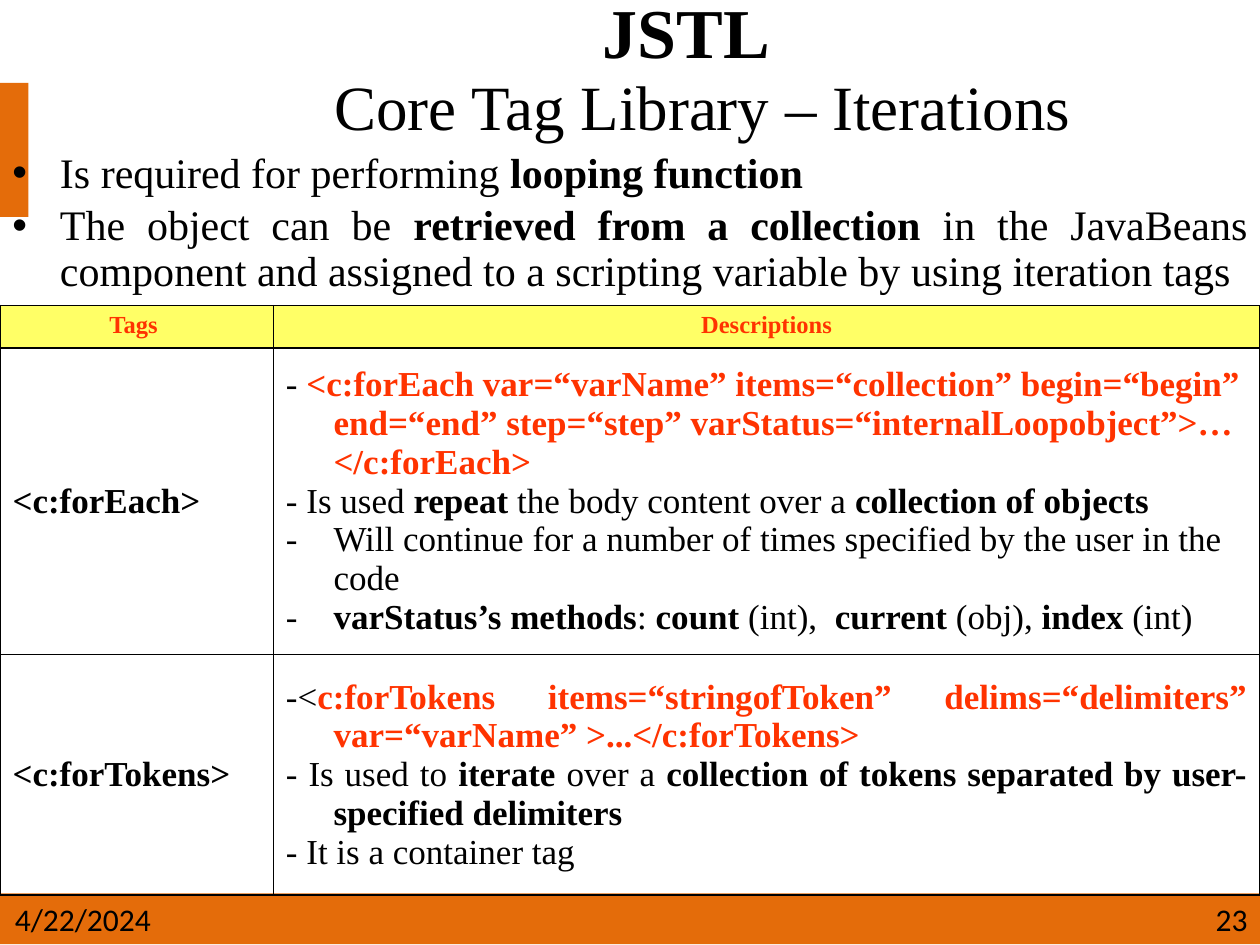
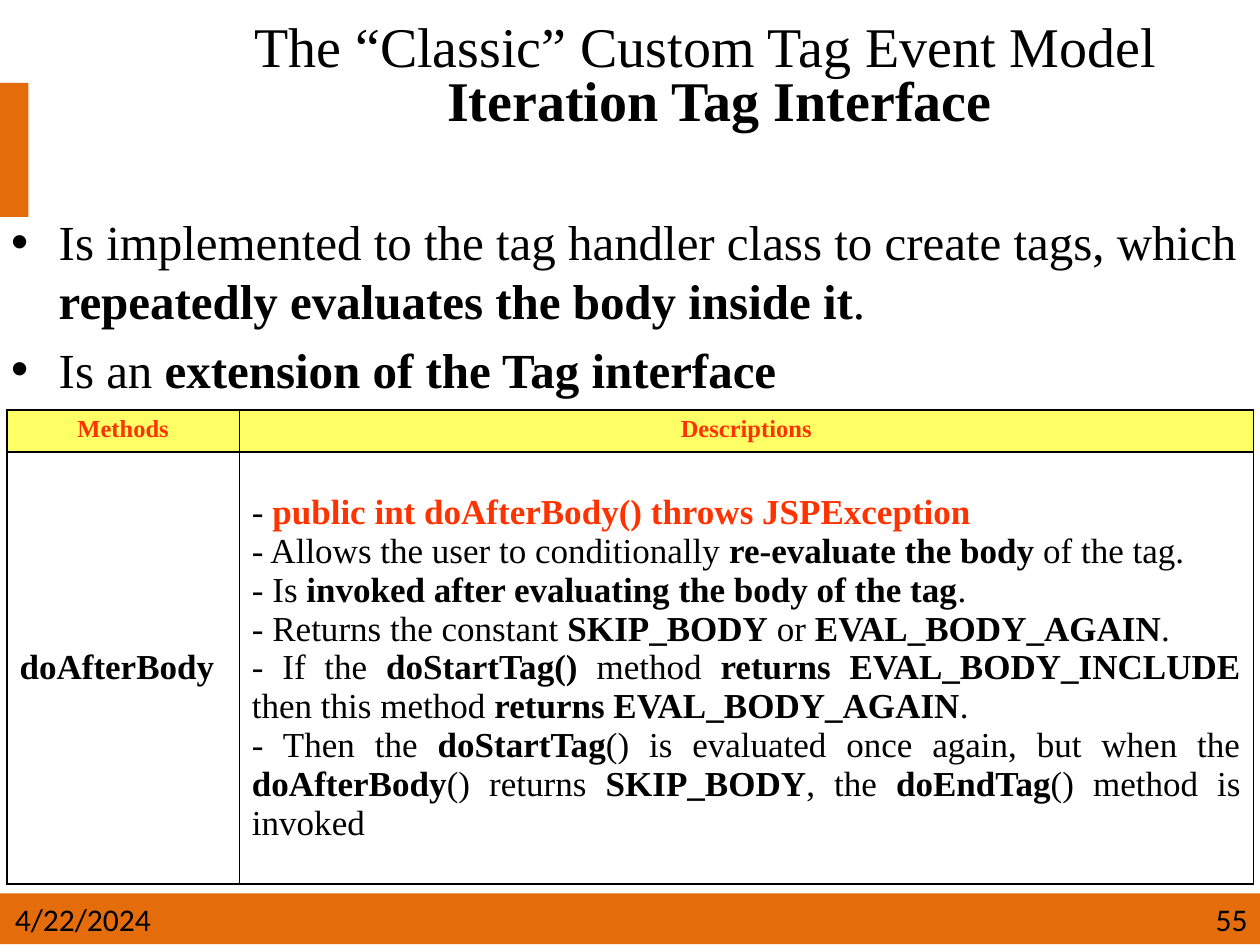
from lxml import etree
from pptx import Presentation
from pptx.dml.color import RGBColor
from pptx.enum.shapes import MSO_SHAPE
from pptx.enum.text import MSO_ANCHOR, PP_ALIGN
from pptx.oxml.ns import qn
from pptx.util import Pt

RECTANGLE = MSO_SHAPE.RECTANGLE
TOP, MIDDLE = MSO_ANCHOR.TOP, MSO_ANCHOR.MIDDLE
LEFT, CENTER = PP_ALIGN.LEFT, PP_ALIGN.CENTER
RIGHT, JUSTIFY = PP_ALIGN.RIGHT, PP_ALIGN.JUSTIFY

ORANGE, YELLOW, RED, BLACK = "E46C0A", "FFFF66", "FF3300", "000000"
SERIF, SANS = "Times New Roman", "Calibri"
SLIDE_WIDTH, SLIDE_HEIGHT = 720, 540
FOOTER_TOP, FOOTER_HEIGHT = 510.5, 29
HANGING = 27.2
TITLE_SPACING = 0.8
DATE = "4/22/2024"


def color(hex_code):
    return RGBColor.from_string(hex_code)


def apply(target, formats):
    for name, value in formats.items():
        setattr(target, name, value)


def add_run(paragraph, text, size, bold=False, ink=BLACK, font=SERIF):
    run = paragraph.add_run()
    run.text = text
    apply(run.font, {"name": font, "size": Pt(size), "bold": bold})
    run.font.color.rgb = color(ink)


def add_emphasised(paragraph, text, size, emphasis=BLACK):
    for index, part in enumerate(text.split("*")):
        if part:
            bold = index % 2 == 1
            add_run(paragraph, part, size, bold, emphasis if bold else BLACK)


def hang(paragraph, bullet=None):
    properties = paragraph._p.get_or_add_pPr()
    properties.set("marL", str(Pt(HANGING)))
    properties.set("indent", str(-Pt(HANGING)))
    if bullet:
        face = "Arial" if bullet == "•" else SERIF
        etree.SubElement(properties, qn("a:buFont")).set("typeface", face)
        etree.SubElement(properties, qn("a:buChar")).set("char", bullet)


def next_paragraph(frame, index):
    return frame.add_paragraph() if index else frame.paragraphs[0]


def add_text_frame(slide, left, top, width, height, anchor=TOP):
    box = slide.shapes.add_textbox(Pt(left), Pt(top), Pt(width), Pt(height))
    apply(box.text_frame, {"word_wrap": True, "vertical_anchor": anchor})
    return box.text_frame


def add_band(slide, top, width, height):
    band = slide.shapes.add_shape(RECTANGLE, 0, Pt(top), Pt(width), Pt(height))
    band.shadow.inherit = False
    band.fill.solid()
    band.fill.fore_color.rgb = color(ORANGE)
    band.line.fill.background()


def add_title(slide, left, width, height, lines):
    frame = add_text_frame(slide, left, 0, width, height, MIDDLE)
    paragraph = frame.paragraphs[0]
    apply(paragraph, {"alignment": CENTER, "line_spacing": TITLE_SPACING})
    for index, line in enumerate(lines):
        if index:
            paragraph.add_line_break()
        for text, size, bold in line:
            add_run(paragraph, text, size, bold)


def add_bullets(slide, left, top, height, points, size, spacing, gap, alignment):
    frame = add_text_frame(slide, left, top, SLIDE_WIDTH, height)
    for index, point in enumerate(points):
        paragraph = next_paragraph(frame, index)
        hang(paragraph, "•")
        apply(paragraph, {"alignment": alignment, "line_spacing": spacing,
                          "space_before": Pt(gap if index else 0)})
        add_emphasised(paragraph, point, size)


def add_footer(slide, number):
    for left, width, text, alignment in ((1.4, 109.4, DATE, LEFT),
                                         (504, 216, number, RIGHT)):
        frame = add_text_frame(slide, left, FOOTER_TOP, width, FOOTER_HEIGHT)
        paragraph = frame.paragraphs[0]
        paragraph.alignment = alignment
        add_run(paragraph, text, 18, font=SANS)


def add_borders(cell):
    properties = cell._tc.get_or_add_tcPr()
    for side in ("lnL", "lnR", "lnT", "lnB"):
        line = etree.SubElement(properties, qn(f"a:{side}"))
        line.set("w", str(Pt(1)))
        fill = etree.SubElement(line, qn("a:solidFill"))
        etree.SubElement(fill, qn("a:srgbClr")).set("val", BLACK)


def fill_heading(cell, text):
    cell.fill.solid()
    cell.fill.fore_color.rgb = color(YELLOW)
    paragraph = cell.text_frame.paragraphs[0]
    paragraph.alignment = CENTER
    hang(paragraph)
    add_run(paragraph, text, 14, True, RED)


def fill_name(cell, text):
    paragraph = cell.text_frame.paragraphs[0]
    hang(paragraph)
    add_run(paragraph, text, 20, True)


def fill_description(cell, entries):
    for index, (text, alignment, bullet, hanging) in enumerate(entries):
        paragraph = next_paragraph(cell.text_frame, index)
        paragraph.alignment = alignment
        if hanging:
            hang(paragraph, bullet)
        add_emphasised(paragraph, text, 20, BLACK if index else RED)


def entry(text, alignment=LEFT, bullet=None, hanging=True):
    return text, alignment, bullet, hanging


def add_tag_table(slide, left, top, widths, heights, headings, rows):
    table = slide.shapes.add_table(len(heights), len(widths), Pt(left), Pt(top),
                                   Pt(sum(widths)), Pt(sum(heights))).table
    apply(table, {"first_row": False, "horz_banding": False})
    for column, width in zip(table.columns, widths):
        column.width = Pt(width)
    for row, height in zip(table.rows, heights):
        row.height = Pt(height)
    for cell in table.iter_cells():
        add_borders(cell)
        apply(cell, {"margin_left": Pt(7.2), "margin_right": Pt(7.2),
                     "margin_top": Pt(3.6), "margin_bottom": Pt(3.6)})
    for column, heading in enumerate(headings):
        fill_heading(table.cell(0, column), heading)
    for index, (name, description) in enumerate(rows, start=1):
        name_cell, description_cell = table.cell(index, 0), table.cell(index, 1)
        for cell in (name_cell, description_cell):
            cell.fill.background()
            cell.vertical_anchor = MIDDLE
        fill_name(name_cell, name)
        fill_description(description_cell, description)


def start_slide(deck):
    slide = deck.slides.add_slide(deck.slide_layouts[6])
    add_band(slide, 47.4, 16.2, 76.6)
    add_band(slide, FOOTER_TOP, SLIDE_WIDTH, FOOTER_HEIGHT)
    return slide


def build_iterations(deck):
    slide = start_slide(deck)
    add_title(slide, 72, 648, 85.7, [
        [("JSTL ", 40, True)],
        [(" ", 44, True), ("Core Tag Library – Iterations", 36, False)]])
    add_bullets(slide, 0, 83.5, 121.7, [
        "Is required for performing *looping function*",
        "The object can be *retrieved from a collection *in the JavaBeans "
        "component and assigned to a scripting variable by using iteration tags "],
        size=24, spacing=0.9, gap=4, alignment=JUSTIFY)
    for_each = [
        entry("- *<c:forEach var=“varName” items=“collection” begin=“begin” "
              "end=“end” step=“step” varStatus=“internalLoopobject”>…</c:forEach>*"),
        entry("- Is used *repeat* the body content over a *collection of objects*"),
        entry("Will continue for a number of times specified by the user in the code",
              bullet="-"),
        entry("*varStatus’s methods*: *count* (int),  *current* (obj), *index* (int)",
              bullet="-")]
    for_tokens = [
        entry("-<*c:forTokens items=“stringofToken” delims=“delimiters” "
              "var=“varName” >...</c:forTokens>*", JUSTIFY),
        entry("- Is used to *iterate* over a *collection of tokens separated by "
              "user-specified delimiters*", JUSTIFY),
        entry("- It is a container tag", JUSTIFY)]
    add_tag_table(slide, 0, 174.7, (156.2, 563.8), (23.8, 174.8, 137.5),
                  ("Tags ", "Descriptions"),
                  [("<c:forEach>", for_each), ("<c:forTokens>", for_tokens)])
    add_footer(slide, "23")


def build_iteration_interface(deck):
    slide = start_slide(deck)
    add_title(slide, 121, 572.4, 89.3, [
        [("The “Classic” Custom Tag Event Model ", 32, False)],
        [(" Iteration Tag Interface", 32, True)]])
    add_bullets(slide, -0.7, 117.4, 118, [
        "Is implemented to the tag handler class to create tags, which "
        "*repeatedly evaluates the body inside it*.",
        "Is an *extension of the Tag interface*"],
        size=28, spacing=1.0, gap=5.6, alignment=LEFT)
    do_after_body = [
        entry("- *public int doAfterBody() throws JSPException*"),
        entry("- Allows the user to conditionally *re-evaluate the body* of the tag."),
        entry("- Is *invoked after evaluating the body of the tag*."),
        entry("- Returns the constant *SKIP_BODY* or *EVAL_BODY_AGAIN*."),
        entry("- If the *doStartTag()* method *returns EVAL_BODY_INCLUDE* then this "
              "method *returns EVAL_BODY_AGAIN*.", JUSTIFY, hanging=False),
        entry("- Then the *doStartTag*() is evaluated once again, but when the "
              "*doAfterBody*() returns *SKIP_BODY*, the *doEndTag*() method is invoked",
              JUSTIFY, hanging=False)]
    add_tag_table(slide, 4, 234.2, (132.8, 579.4), (22.5, 247),
                  ("Methods", "Descriptions"), [("doAfterBody", do_after_body)])
    add_footer(slide, "55")


def main():
    deck = Presentation()
    apply(deck, {"slide_width": Pt(SLIDE_WIDTH), "slide_height": Pt(SLIDE_HEIGHT)})
    build_iterations(deck)
    build_iteration_interface(deck)
    deck.save("out.pptx")


if __name__ == "__main__":
    main()
